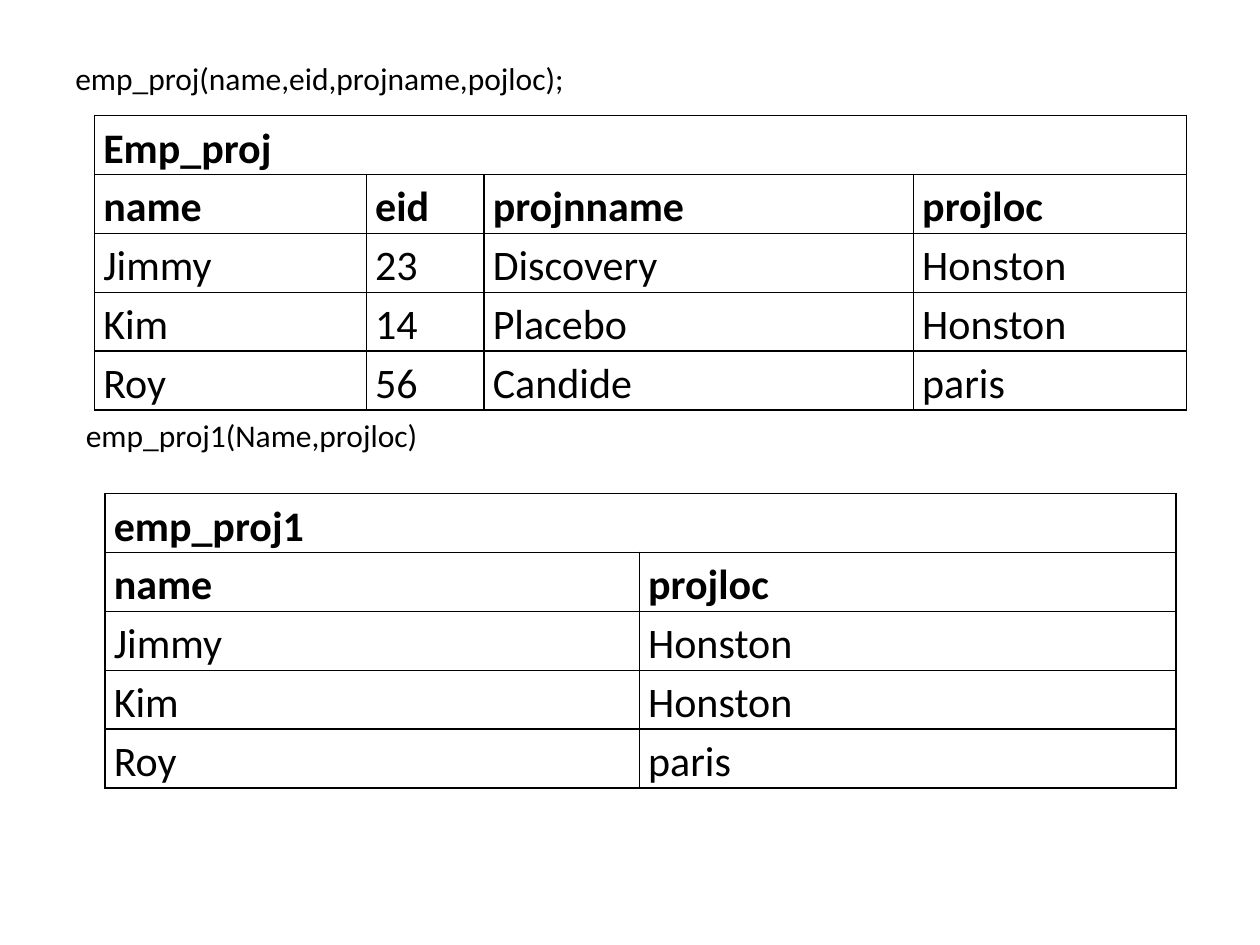
from lxml import etree
from pptx import Presentation
from pptx import util as u
from pptx.dml.color import RGBColor
from pptx.oxml.ns import qn

BLACK = RGBColor(0x00, 0x00, 0x00)
WHITE = RGBColor(0xFF, 0xFF, 0xFF)


class RelationSlide:
    """Slide on a grid of 120 columns by 90 rows, with one text style."""

    font, caption_size, cell_size = "Calibri", u.Pt(18), u.Pt(24)
    row_height = 5.52

    def __init__(self, deck):
        self.slide = deck.slides.add_slide(deck.slide_layouts[6])
        self.column = deck.slide_width / 120
        self.row = deck.slide_height / 90

    def area(self, left, top, width, height):
        return (round(left * self.column), round(top * self.row),
                round(width * self.column), round(height * self.row))

    def style(self, paragraph, size, bold=False):
        font = paragraph.font
        font.name, font.size, font.bold = self.font, size, bold
        font.color.rgb = BLACK

    def caption(self, words, left, top, width):
        box = self.slide.shapes.add_textbox(*self.area(left, top, width, 4.8))
        box.text_frame.word_wrap = True
        box.text_frame.text = words
        self.style(box.text_frame.paragraphs[0], self.caption_size)

    def relation(self, name, header, records, left, top, widths):
        lines = [[name] + [""] * (len(header) - 1), header, *records]
        frame = self.slide.shapes.add_table(
            len(lines), len(header),
            *self.area(left, top, sum(widths), self.row_height * len(lines)))
        table = frame.table
        table.first_row = table.horz_banding = False
        for column, width in zip(table.columns, widths):
            column.width = round(width * self.column)
        for r, line in enumerate(lines):
            for c, words in enumerate(line):
                self.cell(table.cell(r, c), words, bold=r < 2)
        table.cell(0, 0).merge(table.cell(0, len(header) - 1))

    def cell(self, cell, words, bold):
        cell.text = words
        cell.margin_left = cell.margin_right = u.Inches(0.07)
        cell.margin_top = cell.margin_bottom = 0
        paragraph = cell.text_frame.paragraphs[0]
        paragraph.line_spacing = 1.15
        self.style(paragraph, self.cell_size, bold)
        self.borders(cell)
        cell.fill.solid()
        cell.fill.fore_color.rgb = WHITE

    def borders(self, cell):
        properties = cell._tc.get_or_add_tcPr()
        for side in ("a:lnL", "a:lnR", "a:lnT", "a:lnB"):
            line = etree.SubElement(properties, qn(side), w=str(u.Pt(1)))
            fill = etree.SubElement(line, qn("a:solidFill"))
            etree.SubElement(fill, qn("a:srgbClr"), val=str(BLACK))


def main():
    deck = Presentation()
    deck.slide_width, deck.slide_height = u.Inches(10), u.Inches(7.5)
    page = RelationSlide(deck)

    employees = [
        ["Jimmy", "23", "Discovery", "Honston"],
        ["Kim", "14", "Placebo", "Honston"],
        ["Roy", "56", "Candide", "paris"],
    ]

    # Full relation
    page.relation("Emp_proj", ["name", "eid", "projnname", "projloc"],
                  employees, 9, 11, [25.9, 11.2, 40.9, 26])

    # Projection on name and location
    page.relation("emp_proj1", ["name", "projloc"],
                  [[person[0], person[-1]] for person in employees],
                  10, 47, [50.9, 51.1])

    # Schemas above the tables
    page.caption("emp_proj(name,eid,projname,pojloc);", 6, 5, 57.6)
    page.caption("emp_proj1(Name,projloc)", 7, 39, 39.8)

    deck.save("out.pptx")


if __name__ == "__main__":
    main()
